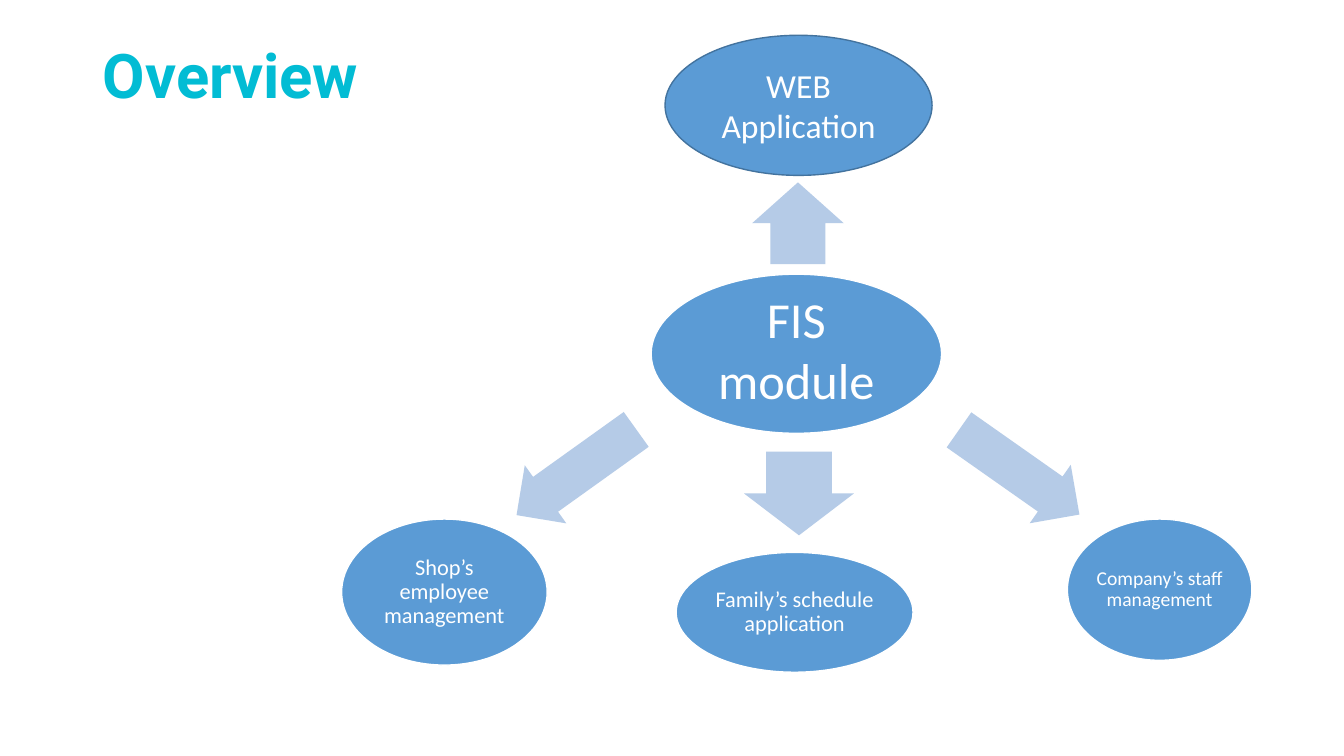
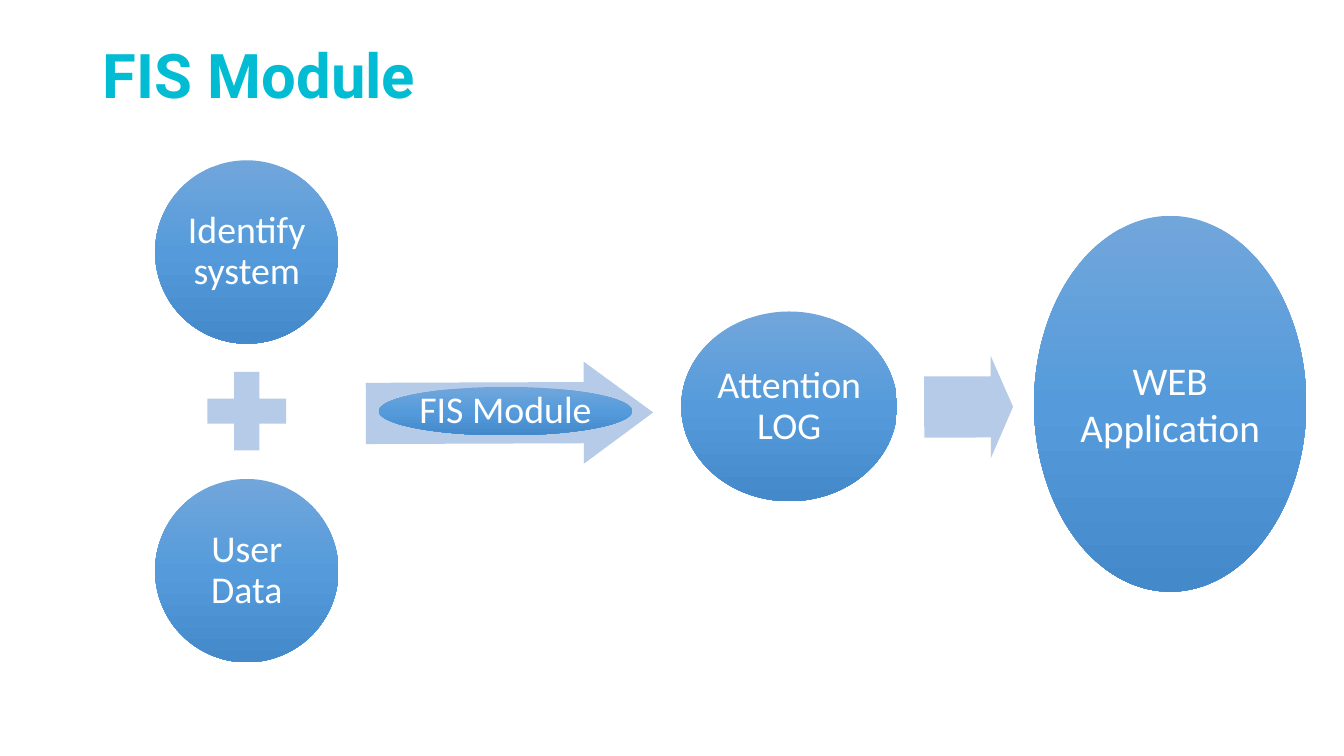
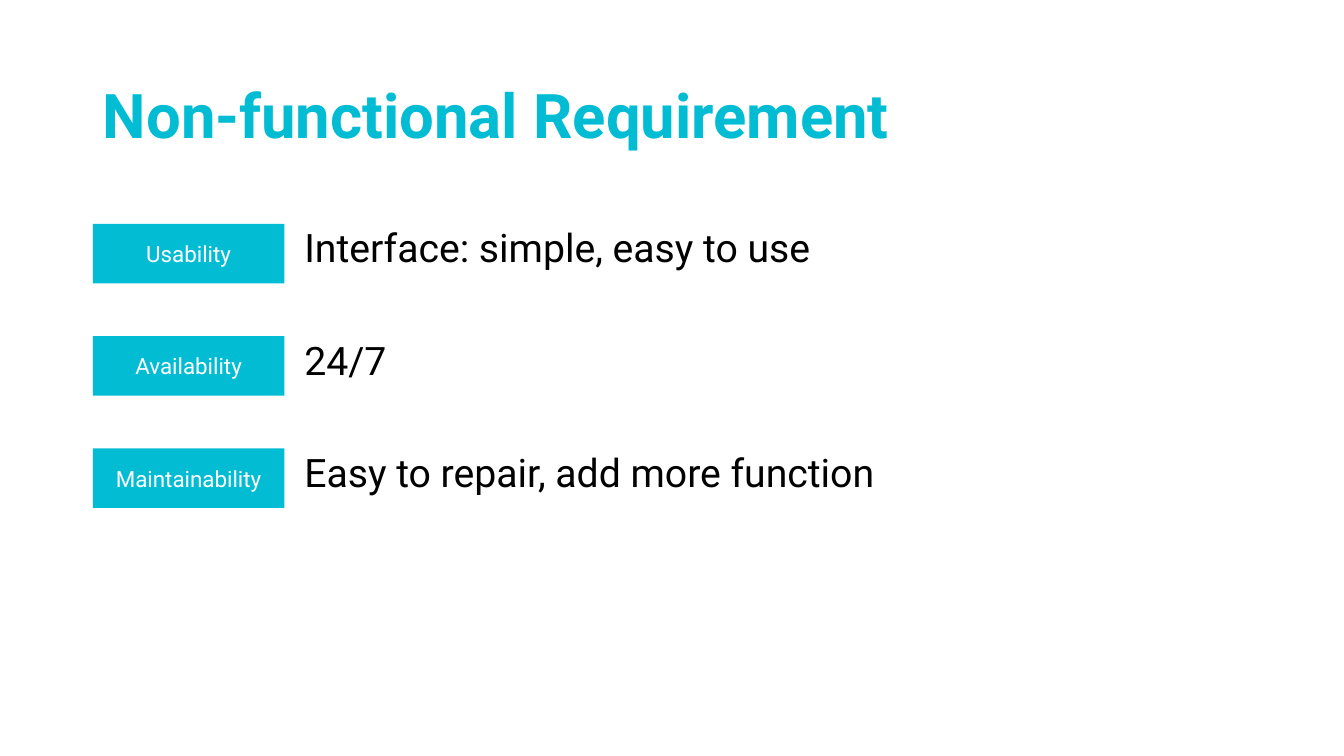
from copy import deepcopy

from pptx import Presentation
from pptx.dml.color import RGBColor
from pptx.enum.shapes import MSO_SHAPE
from pptx.enum.text import MSO_ANCHOR, MSO_AUTO_SIZE, PP_ALIGN
from pptx.oxml.ns import qn
from pptx.util import Cm, Pt

ELLIPSE, RECT = MSO_SHAPE.OVAL, MSO_SHAPE.RECTANGLE
ARROW, CROSS = MSO_SHAPE.RIGHT_ARROW, MSO_SHAPE.CROSS
LEFT, CENTER = PP_ALIGN.LEFT, PP_ALIGN.CENTER
TOP, MIDDLE = MSO_ANCHOR.TOP, MSO_ANCHOR.MIDDLE
TITLE_ONLY, TITLE_AND_BODY = 5, 1

# Shared look
COLORS = {"cyan": "02BCD4", "blue": "5B9BD5", "edge": "43739E", "pale": "B5CBE7",
          "white": "FFFFFF", "black": "000000"}
GRADIENT = [(0, "71A6DB"), (0.5, "559BDB"), (1, "448ACA")]
MARGIN = 2.34
TITLE_FORMAT = {"font": "Roboto", "size": 44, "color": "cyan", "bold": True, "spacing": 0.9}

# Content: boxes are (left, top, width, height) in centimetres
OVERVIEW_NODES = [  # lines, box, size, edge, spacing, insets
    (["WEB Application"], (16.76, 0.89, 6.73, 3.53), 24, "edge", 1, (0.25, 0.13, 0.25, 0.13)),
    (["FIS", "module"], (16.41, 6.91, 7.32, 4.01), 36, "white", 1, (0, 0, 0, 0.25)),
    (["Company’s staff management"], (26.9, 13.08, 4.65, 3.56), 14, "white", 0.9, (0.05,) * 4),
    (["Family’s schedule application"], (17.04, 13.92, 5.97, 3.02), 16, "white", 0.9, (0.05,) * 4),
    (["Shop’s employee management"], (8.61, 13.08, 5.18, 3.68), 16, "white", 0.9, (0.05,) * 4),
]
OVERVIEW_ARROWS = [  # box, rotation, head length
    ((19.08, 4.47, 2.06, 2.31), 270, 0.5),
    ((23.83, 11, 3.71, 1.8), 35.1, 0.5),
    ((19.08, 11.05, 2.11, 2.77), 90, 0.5),
    ((12.67, 11, 3.71, 1.8), 144.4, 0.5),
]
MODULE_NODES = [  # text, box, size, spacing
    ("Identify system", (3.91, 4.04, 4.62, 4.62), 27, 0.9),
    ("User Data", (3.91, 12.07, 4.62, 4.62), 27, 0.9),
    ("Attention LOG", (17.17, 7.85, 5.44, 4.78), 27, 0.9),
    ("FIS Module", (9.55, 9.75, 6.38, 1.22), 27, 0.9),
    ("WEB Application", (26.06, 5.44, 6.86, 9.47), 28, 1),
]
MODULE_ARROWS = [
    ((9.22, 9.12, 7.24, 2.57), 359.8, 0.68),
    ((23.29, 8.97, 2.24, 2.57), 359.8, 0.25),
]
PLUS_BOX = (5.23, 9.37, 1.98, 1.98)
REQUIREMENTS = [
    ("Usability", "Interface: simple, easy to use"),
    ("Availability", "24/7"),
    ("Maintainability", "Easy to repair, add more function"),
]
ROWS_TOP, ROW_PITCH, LABEL_SIZE = 5.64, 2.83, (4.83, 1.5)


def rgb(name):
    return RGBColor.from_string(COLORS.get(name, name))


def write(shape, lines, font="Calibri", size=16, color="white", bold=False, align=CENTER,
          anchor=MIDDLE, spacing=1, before=0, indent=0, insets=(0.25, 0.13, 0.25, 0.13)):
    frame = shape.text_frame
    frame.text = "\n".join(lines)
    frame.word_wrap, frame.auto_size = True, MSO_AUTO_SIZE.NONE
    frame.vertical_anchor = anchor
    (frame.margin_left, frame.margin_top,
     frame.margin_right, frame.margin_bottom) = map(Cm, insets)
    for index, paragraph in enumerate(frame.paragraphs):
        properties = paragraph._p.get_or_add_pPr()
        properties.set("marL", str(int(Cm(indent))))
        properties.set("indent", "0")
        properties.append(properties.makeelement(qn("a:buNone"), {}))
        paragraph.alignment, paragraph.line_spacing = align, spacing
        paragraph.space_before = Pt(before if index else 0)
        for run in paragraph.runs:
            run.font.name, run.font.size, run.font.bold = font, Pt(size), bold
            run.font.color.rgb = rgb(color)


def place(shape, box):
    shape.left, shape.top, shape.width, shape.height = map(Cm, box)


def add_shape(slide, kind, box, fill=None, edge=None):
    """Add a preset shape; without a fill colour it gets the gradient."""
    shape = slide.shapes.add_shape(kind, *map(Cm, box))
    shape.shadow.inherit = False
    if fill:
        shape.fill.solid()
        shape.fill.fore_color.rgb = rgb(fill)
    else:
        shape.fill.gradient()
        shape.fill.gradient_angle = 270
        stops = shape._element.spPr.find(".//" + qn("a:gsLst"))
        stops.insert(1, deepcopy(stops[0]))
        for stop, (position, color) in zip(shape.fill.gradient_stops, GRADIENT):
            stop.position, stop.color.rgb = position, rgb(color)
    if edge:
        shape.line.color.rgb = rgb(edge)
        shape.line.width = Pt(1)
    else:
        shape.line.fill.background()
    return shape


def add_arrows(slide, arrows):
    for box, rotation, head in arrows:
        arrow = add_shape(slide, ARROW, box, "pale")
        arrow.rotation = rotation
        arrow.adjustments[0], arrow.adjustments[1] = 0.6, head


def add_slide(deck, layout, title, top, width, height):
    slide = deck.slides.add_slide(deck.slide_layouts[layout])
    place(slide.shapes.title, (MARGIN, top, width, height))
    write(slide.shapes.title, [title], align=LEFT, anchor=TOP, **TITLE_FORMAT)
    return slide


def build_overview(deck):
    slide = add_slide(deck, TITLE_ONLY, "Overview", 1.02, 8.15, 1.78)
    add_arrows(slide, OVERVIEW_ARROWS)
    for lines, box, size, edge, spacing, insets in OVERVIEW_NODES:
        node = add_shape(slide, ELLIPSE, box, "blue", edge)
        write(node, lines, size=size, spacing=spacing, insets=insets)


def build_module(deck):
    slide = add_slide(deck, TITLE_ONLY, "FIS Module", 1.02, 8.86, 1.78)
    add_arrows(slide, MODULE_ARROWS)
    add_shape(slide, CROSS, PLUS_BOX, "pale").adjustments[0] = 0.34
    for text, box, size, spacing in MODULE_NODES:
        node = add_shape(slide, ELLIPSE, box)
        write(node, [text], size=size, spacing=spacing, insets=(0, 0, 0, 0))


def build_requirements(deck):
    slide = add_slide(deck, TITLE_AND_BODY, "Non-functional Requirement", 2.03, 29.21, 2.39)
    details = slide.placeholders[1]
    place(details, (MARGIN, ROWS_TOP, 28.19, 9.58))
    write(details, [detail for _, detail in REQUIREMENTS], font="Roboto", size=28,
          color="black", align=LEFT, anchor=TOP, spacing=0.9, before=50, indent=5.08)
    for row, (quality, _) in enumerate(REQUIREMENTS):
        label = add_shape(slide, RECT, (MARGIN, ROWS_TOP + row * ROW_PITCH, *LABEL_SIZE), "cyan")
        write(label, [quality], font="Roboto")


def main():
    deck = Presentation()
    deck.slide_width, deck.slide_height = Cm(33.87), Cm(19.05)
    build_overview(deck)
    build_module(deck)
    build_requirements(deck)
    deck.save("out.pptx")


if __name__ == "__main__":
    main()
